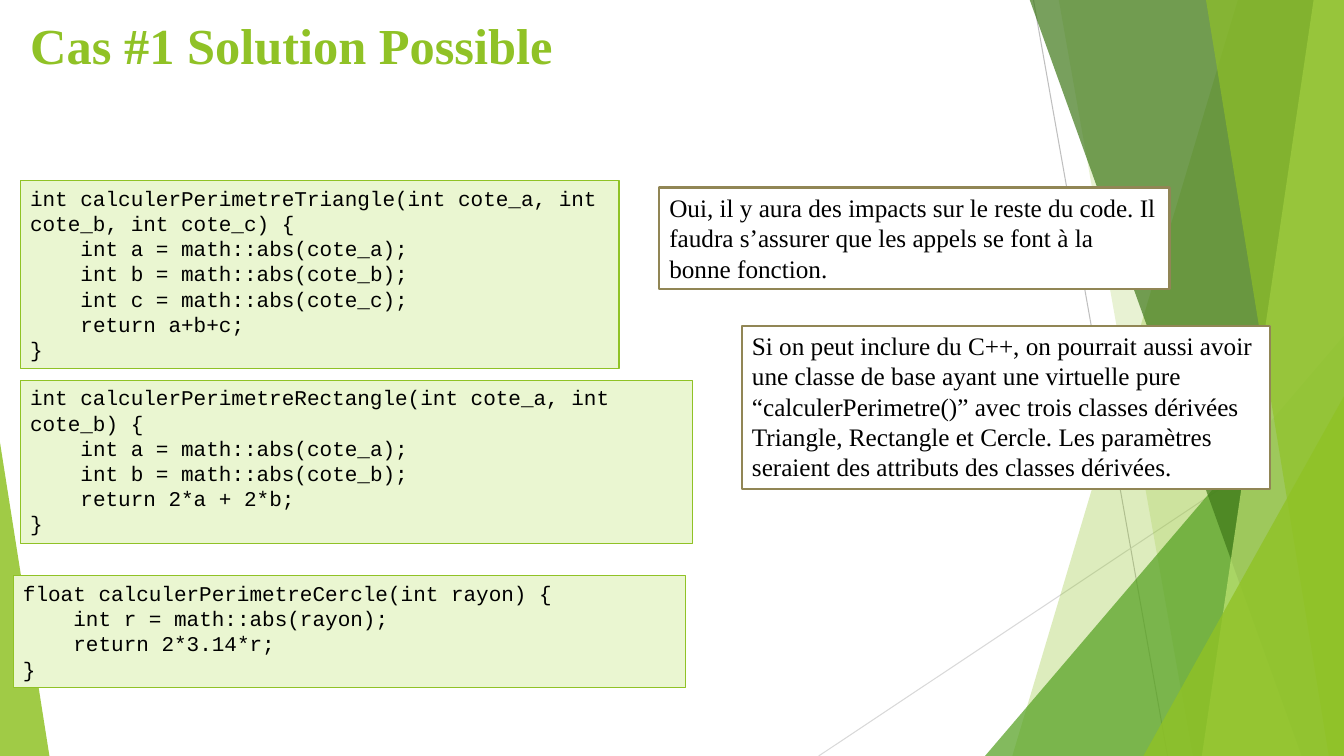
import dataclasses

import pptx
import pptx.dml.color
import pptx.enum.shapes
import pptx.enum.text
import pptx.oxml.ns
import pptx.util
from lxml import etree
from pptx.util import Inches

SHAPES = pptx.enum.shapes.MSO_SHAPE
WIDTH, HEIGHT = 13.33, 7.5


@dataclasses.dataclass(frozen=True)
class Theme:
    lime: str = "90C226"
    green: str = "54A021"
    forest: str = "3F7819"
    pale_lime: str = "C0E474"
    code_fill: str = "EAF6D1"
    note_line: str = "918655"
    white: str = "FFFFFF"
    black: str = "000000"
    hairlines: tuple = ("BFBFBF", "D9D9D9")
    serif: str = "Times New Roman"
    mono: str = "Courier New"
    title_size: int = 36
    note_size: int = 18
    code_size: int = 15


THEME = Theme()

TRIANGLE_CODE = """int calculerPerimetreTriangle(int cote_a, int cote_b, int cote_c) {
\tint a = math::abs(cote_a);
\tint b = math::abs(cote_b);
\tint c = math::abs(cote_c);
\treturn a+b+c;
}"""
RECTANGLE_CODE = """int calculerPerimetreRectangle(int cote_a, int cote_b) {
\tint a = math::abs(cote_a);
\tint b = math::abs(cote_b);
\treturn 2*a + 2*b;
}"""
CIRCLE_CODE = """float calculerPerimetreCercle(int rayon) {
\tint r = math::abs(rayon);
\treturn 2*3.14*r;
}"""
IMPACT_NOTE = (
    "Oui, il y aura des impacts sur le reste du code. Il faudra s’assurer "
    "que les appels se font à la bonne fonction."
)
CLASS_NOTE = (
    "Si on peut inclure du C++, on pourrait aussi avoir une classe de base ayant "
    "une virtuelle pure “calculerPerimetre()” avec trois classes dérivées "
    "Triangle, Rectangle et Cercle. Les paramètres seraient des attributs des "
    "classes dérivées."
)


def rgb(color):
    return pptx.dml.color.RGBColor.from_string(color)


def add_child(parent, tag, **attributes):
    return etree.SubElement(parent, pptx.oxml.ns.qn(tag), attributes)


def paint_glass(shape, color, opacity):
    """Give a borderless fill with the opacity in percent."""
    shape.shadow.inherit = False
    shape.line.fill.background()
    shape.fill.solid()
    shape.fill.fore_color.rgb = rgb(color)
    swatch = shape.element.xpath("./p:spPr/a:solidFill/a:srgbClr")[0]
    add_child(swatch, "a:alpha", val=str(opacity * 1000))


def add_hairline(page, start, end, color):
    line = page.shapes.add_connector(
        pptx.enum.shapes.MSO_CONNECTOR.STRAIGHT, *map(Inches, start + end))
    line.line.color.rgb = rgb(color)
    line.line.width = pptx.util.Pt(0.75)
    add_child(line.element.spPr, "a:effectLst")


def add_band(page, top_x, bottom_x, color, opacity):
    """Fill from a slanted left edge to the right side of the page."""
    top = -0.01
    corners = [(top_x, top), (WIDTH, top), (WIDTH, HEIGHT), (bottom_x, HEIGHT)]
    start, *others = [(Inches(x), Inches(y)) for x, y in corners]
    builder = page.shapes.build_freeform(*start)
    builder.add_line_segments(others, close=True)
    paint_glass(builder.convert_to_shape(), color, opacity)


def add_wedge(page, box, apex, color, opacity):
    wedge = page.shapes.add_shape(SHAPES.ISOSCELES_TRIANGLE, *map(Inches, box))
    wedge.adjustments[0] = apex
    paint_glass(wedge, color, opacity)


def add_corner_wedge(page, left, top, color, opacity):
    """Place a wedge in the bottom right corner of the page."""
    add_wedge(page, (left, top, WIDTH - left, HEIGHT - top), 1, color, opacity)


def add_backdrop(page):
    steep, shallow = THEME.hairlines
    add_hairline(page, (10.25, 0), (11.58, HEIGHT), steep)
    add_hairline(page, (WIDTH, 4.03), (8.12, HEIGHT), shallow)
    add_band(page, 12.28, 10.04, THEME.lime, 30)
    add_band(page, 10.5, 11.83, THEME.lime, 20)
    add_corner_wedge(page, 9.77, 3.33, THEME.green, 72)
    add_band(page, 10.21, 12.91, THEME.forest, 70)
    add_band(page, 13.03, 11.92, THEME.pale_lime, 70)
    add_band(page, 11.96, 13.18, THEME.lime, 65)
    add_corner_wedge(page, 11.34, 3.93, THEME.lime, 80)
    add_wedge(page, (0, 4.39, 0.49, HEIGHT - 4.39), 0, THEME.lime, 85)


def add_span(para, text, font, size, color, bold=False):
    span = para.add_run()
    span.text = text
    span.font.name = font
    span.font.size = pptx.util.Pt(size)
    span.font.color.rgb = rgb(color)
    span.font.bold = bold


def add_title(page, box, text):
    title = page.shapes.title
    title.element.getparent().append(title.element)
    title.left, title.top, title.width, title.height = map(Inches, box)
    frame = title.text_frame
    frame.auto_size = pptx.enum.text.MSO_AUTO_SIZE.NONE
    frame.vertical_anchor = pptx.enum.text.MSO_ANCHOR.TOP
    para = frame.paragraphs[0]
    para.alignment = pptx.enum.text.PP_ALIGN.LEFT
    add_span(para, text, THEME.serif, THEME.title_size, THEME.lime, bold=True)


def add_panel(page, box, text, fill, line, line_width, font, size):
    """Draw a bordered box holding one paragraph per line of text."""
    panel = page.shapes.add_shape(SHAPES.RECTANGLE, *map(Inches, box))
    panel.shadow.inherit = False
    panel.fill.solid()
    panel.fill.fore_color.rgb = rgb(fill)
    panel.line.color.rgb = rgb(line)
    panel.line.width = pptx.util.Pt(line_width)
    frame = panel.text_frame
    frame.word_wrap = True
    frame.auto_size = pptx.enum.text.MSO_AUTO_SIZE.SHAPE_TO_FIT_TEXT
    frame.vertical_anchor = pptx.enum.text.MSO_ANCHOR.TOP
    for index, row in enumerate(text.split("\n")):
        para = frame.add_paragraph() if index else frame.paragraphs[0]
        para.alignment = pptx.enum.text.PP_ALIGN.LEFT
        if row.startswith("\t"):
            tabs = add_child(para._p.get_or_add_pPr(), "a:tabLst")
            add_child(tabs, "a:tab", pos=str(Inches(0.5)), algn="l")
        add_span(para, row, font, size, THEME.black)


def add_code(page, box, text):
    add_panel(page, box, text, THEME.code_fill, THEME.lime, 0.75,
              THEME.mono, THEME.code_size)


def add_note(page, box, text):
    add_panel(page, box, text, THEME.white, THEME.note_line, 1.5,
              THEME.serif, THEME.note_size)


def main():
    deck = pptx.Presentation()
    deck.slide_width, deck.slide_height = Inches(WIDTH), Inches(HEIGHT)
    page = deck.slides.add_slide(deck.slide_layouts.get_by_name("Title Only"))
    add_backdrop(page)
    add_title(page, (0.2, 0.09, 9.4, 1.44), "Cas #1 Solution Possible")
    add_code(page, (0.2, 1.79, 5.94, 1.87), TRIANGLE_CODE)
    add_code(page, (0.2, 3.77, 6.67, 1.62), RECTANGLE_CODE)
    add_code(page, (0.13, 5.71, 6.67, 1.11), CIRCLE_CODE)
    add_note(page, (6.54, 1.86, 5.06, 1.01), IMPACT_NOTE)
    add_note(page, (7.36, 3.23, 5.24, 1.62), CLASS_NOTE)
    deck.save("out.pptx")


if __name__ == "__main__":
    main()
